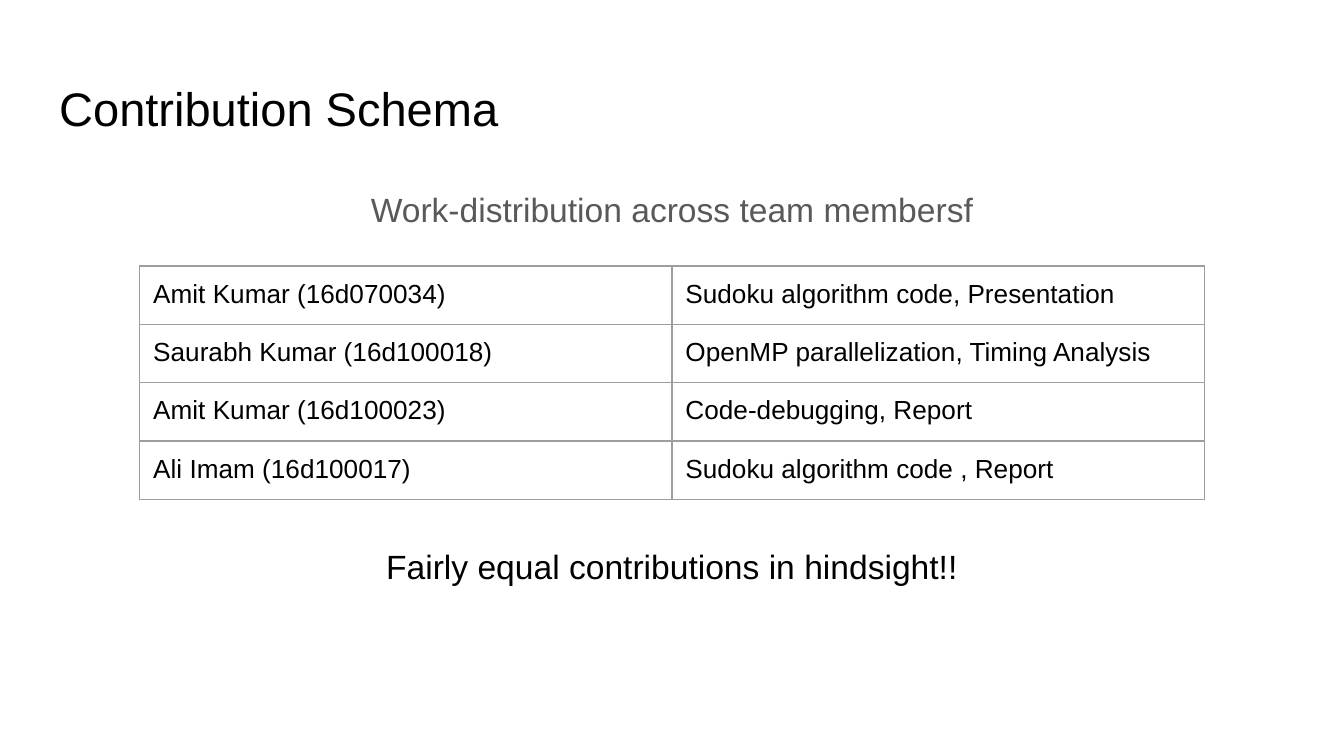
"""Build the contribution schema slide with its table of team members."""
from lxml import etree
from pptx import Presentation
from pptx.dml.color import RGBColor
from pptx.enum.text import MSO_ANCHOR, PP_ALIGN
from pptx.oxml.ns import qn
from pptx.util import Inches, Pt

LEFT, CENTER = PP_ALIGN.LEFT, PP_ALIGN.CENTER
TOP, MIDDLE = MSO_ANCHOR.TOP, MSO_ANCHOR.MIDDLE

TITLE = "Contribution Schema"
SUBTITLE = "Work-distribution across team membersf"
CONTRIBUTIONS = [
    ("Amit Kumar (16d070034)", "Sudoku algorithm code, Presentation"),
    ("Saurabh Kumar (16d100018)", "OpenMP parallelization, Timing Analysis"),
    ("Amit Kumar (16d100023)", "Code-debugging, Report"),
    ("Ali Imam (16d100017)", "Sudoku algorithm code , Report"),
]
CLOSING = "Fairly equal contributions in hindsight!!"

COLORS = {"text": "000000", "muted": "595959", "border": "9E9E9E"}
FONT = "Arial"
SLIDE_WIDTH = 10
SLIDE_HEIGHT = SLIDE_WIDTH * 9 / 16
INSET = Inches(0.1)
COLUMN_WIDTH, ROW_HEIGHT = 3.96, 0.42
TABLE_TOP, TABLE_HEIGHT = 1.98, 1.73
BORDER_WIDTH = Pt(0.75)


def write_text(frame, text, size=18, color="text", align=LEFT, line_spacing=None, space_after=None):
    """Write one formatted paragraph into a text frame."""
    paragraph = frame.paragraphs[0]
    paragraph.alignment = align
    paragraph.line_spacing = line_spacing
    paragraph.space_after = space_after
    run = paragraph.add_run()
    run.text = text
    run.font.name = FONT
    run.font.size = Pt(size)
    run.font.color.rgb = RGBColor.from_string(COLORS[color])


def set_insets(holder):
    """Give a text frame or table cell equal margins."""
    holder.margin_left = holder.margin_right = INSET
    holder.margin_top = holder.margin_bottom = INSET


def place_text(shape, top, width, height, text, anchor=TOP, **text_format):
    """Center a text shape across the slide and fill it."""
    shape.left, shape.top = Inches((SLIDE_WIDTH - width) / 2), Inches(top)
    shape.width, shape.height = Inches(width), Inches(height)
    set_insets(shape.text_frame)
    shape.text_frame.word_wrap = True
    shape.text_frame.vertical_anchor = anchor
    write_text(shape.text_frame, text, **text_format)


def add_borders(cell):
    """Draw a thin line on every side of a cell."""
    properties = cell._tc.get_or_add_tcPr()
    for side in ("a:lnL", "a:lnR", "a:lnT", "a:lnB"):
        line = etree.SubElement(properties, qn(side), w=str(BORDER_WIDTH))
        fill = etree.SubElement(line, qn("a:solidFill"))
        etree.SubElement(fill, qn("a:srgbClr"), val=COLORS["border"])


def add_contribution_table(slide):
    """Add the table of members and their work."""
    rows, columns = len(CONTRIBUTIONS), len(CONTRIBUTIONS[0])
    width = columns * COLUMN_WIDTH
    shape = slide.shapes.add_table(
        rows, columns, Inches((SLIDE_WIDTH - width) / 2), Inches(TABLE_TOP),
        Inches(width), Inches(TABLE_HEIGHT))
    table = shape.table
    table.first_row = table.horz_banding = False
    for row, texts in zip(table.rows, CONTRIBUTIONS):
        row.height = Inches(ROW_HEIGHT)
        for cell, text in zip(row.cells, texts):
            add_borders(cell)
            cell.fill.background()
            set_insets(cell)
            write_text(cell.text_frame, text, size=14)
    shape.height = Inches(TABLE_HEIGHT)


def main():
    """Create and save the presentation."""
    presentation = Presentation()
    presentation.slide_width = Inches(SLIDE_WIDTH)
    presentation.slide_height = Inches(SLIDE_HEIGHT)
    slide = presentation.slides.add_slide(presentation.slide_layouts[5])
    shapes = slide.shapes
    place_text(shapes.title, 0.49, 9.32, 0.63, TITLE, anchor=MIDDLE, size=25.2)
    subtitle = shapes.add_textbox(0, 0, 0, 0)
    place_text(subtitle, 1.26, 9.32, 3.74, SUBTITLE, color="muted",
               align=CENTER, line_spacing=1.15, space_after=Pt(12))
    add_contribution_table(slide)
    closing = shapes.add_textbox(0, 0, 0, 0)
    place_text(closing, 3.96, 5.28, 0.5, CLOSING, align=CENTER)
    presentation.save("out.pptx")


if __name__ == "__main__":
    main()
